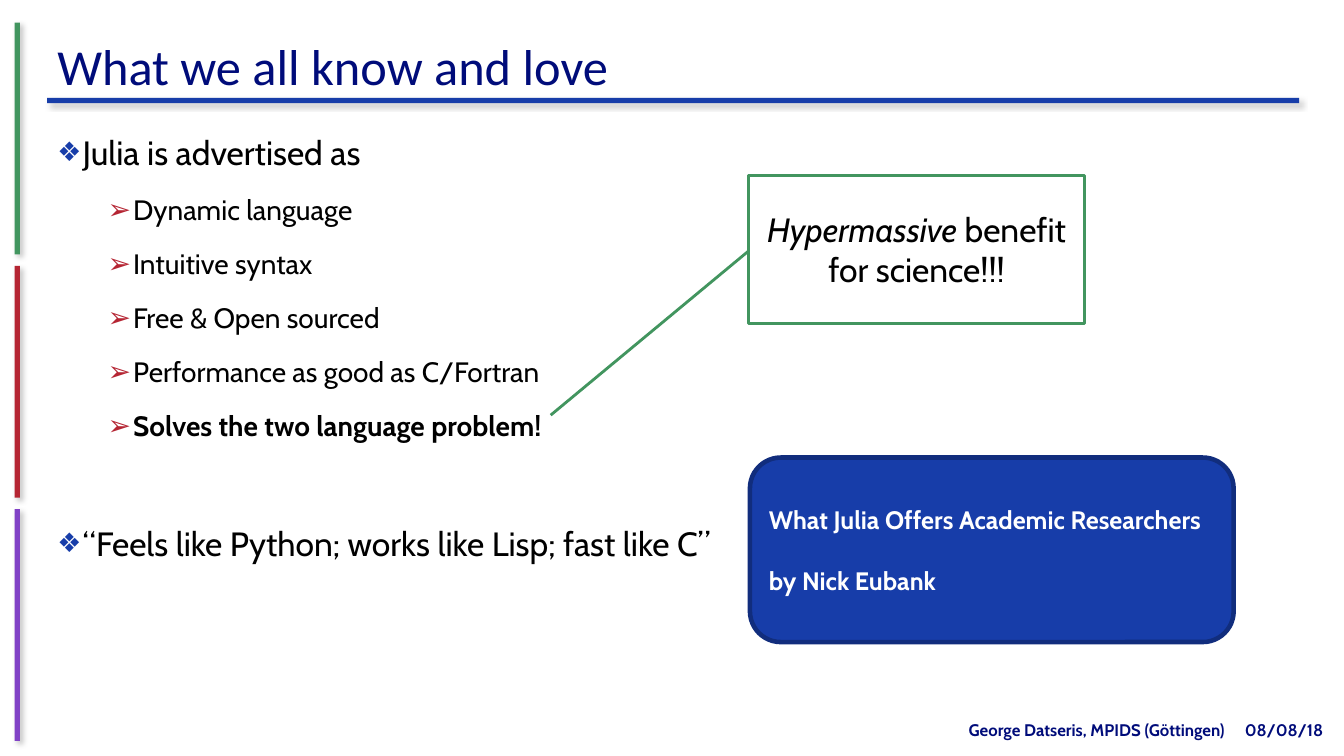
import pptx
import pptx.util
import pptx.dml.color
import pptx.enum.shapes
import pptx.enum.text
import pptx.oxml
import pptx.oxml.ns

Cm, Pt = pptx.util.Cm, pptx.util.Pt
RGB = pptx.dml.color.RGBColor
SHAPE = pptx.enum.shapes.MSO_SHAPE
ALIGN = pptx.enum.text.PP_ALIGN
ANCHOR = pptx.enum.text.MSO_ANCHOR

NAVY = RGB(0x00, 0x0C, 0x7A)
BLUE = RGB(0x17, 0x3D, 0xA9)
DARK_BLUE = RGB(0x11, 0x2D, 0x7D)
GREEN = RGB(0x42, 0x95, 0x5F)
RED = RGB(0xB5, 0x25, 0x33)
PURPLE = RGB(0x81, 0x42, 0xC6)
BLACK = RGB(0, 0, 0)
WHITE = RGB(0xFF, 0xFF, 0xFF)

TITLE = "What we all know and love"
BULLETS = [
    (0, "Julia is advertised as", {}),
    (1, "Dynamic language", {}),
    (1, "Intuitive syntax", {}),
    (1, "Free & Open sourced", {}),
    (1, "Performance as good as C/Fortran", {}),
    (1, "Solves the two language problem!", {"bold": True}),
    (0, "“Feels like Python; works like Lisp; fast like C”", {}),
]
LEVELS = [
    {"size": 24, "before": 48.5, "indent": 0.64, "char": "❖", "color": BLUE, "pct": 80},
    {"size": 20, "before": 5, "indent": 1.91, "char": "➢", "color": RED, "pct": 100},
]
CALLOUT = [("Hypermassive ", True), ("benefit for science!!!", False)]
TALK = ["What Julia Offers Academic Researchers", "by Nick Eubank"]
FOOTERS = [
    ("08/08/18", 31.12, 2.77, ALIGN.LEFT),
    ("George Datseris, MPIDS (Göttingen)", 19.69, 11.43, ALIGN.RIGHT),
]
SIDE_BARS = [GREEN, RED, PURPLE]
BAR_TOP, BAR_PITCH, BAR_LENGTH, BAR_WIDTH = 0.57, 6.13, 5.84, 0.13
FOOTER_FORMAT = {"name": "Cabin", "size": Pt(12), "bold": True}


def box(left, top, width, height):
    return [Cm(v) for v in (left, top, width, height)]


def set_font(font, color, **values):
    for name, value in values.items():
        setattr(font, name, value)
    font.color.rgb = color


def place(sp, area, anchor):
    sp.left, sp.top, sp.width, sp.height = area
    tf = sp.text_frame
    tf.word_wrap = True
    tf.auto_size = pptx.enum.text.MSO_AUTO_SIZE.NONE
    tf.vertical_anchor = anchor
    return tf


def add_shape(s, kind, area, fill, line=None, line_width=0):
    sp = s.shapes.add_shape(kind, *area)
    sp.shadow.inherit = False
    sp.fill.solid()
    sp.fill.fore_color.rgb = fill
    if line is None:
        sp.line.fill.background()
    else:
        sp.line.color.rgb = line
        sp.line.width = Pt(line_width)
    return sp


def add_bar(s, area, color):
    sp = add_shape(s, SHAPE.RECTANGLE, area, color)
    effects = sp._element.spPr.find(pptx.oxml.ns.qn("a:effectLst"))
    effects.append(pptx.oxml.parse_xml(
        f'<a:outerShdw {pptx.oxml.ns.nsdecls("a")} blurRad="{Pt(4)}" dist="{Pt(3)}" '
        'dir="2700000" algn="tl" rotWithShape="0"><a:srgbClr val="000000">'
        '<a:alpha val="25000"/></a:srgbClr></a:outerShdw>'))


def add_bullet(p, level):
    pPr = p._p.get_or_add_pPr()
    pPr.set("marL", str(Cm(level["indent"])))
    pPr.set("indent", str(-Cm(0.64)))
    ns = pptx.oxml.ns.nsdecls("a")
    for xml in (
        f'<a:buClr {ns}><a:srgbClr val="{level["color"]}"/></a:buClr>',
        f'<a:buSzPct {ns} val="{level["pct"] * 1000}"/>',
        f'<a:buChar {ns} char="{level["char"]}"/>',
    ):
        pPr.append(pptx.oxml.parse_xml(xml))


def fill_body(tf):
    for i, (depth, text, style) in enumerate(BULLETS):
        level = LEVELS[depth]
        p = tf.paragraphs[0] if i == 0 else tf.add_paragraph()
        p.level = depth
        add_bullet(p, level)
        p.line_spacing = 0.9
        p.space_before = Pt(level["before"] if i else 0)
        p.space_after = Pt(12)
        r = p.add_run()
        r.text = text
        set_font(r.font, BLACK, name="Cabin", size=Pt(level["size"]), **style)


def main():
    """Build the slide on what Julia is known and loved for."""
    prs = pptx.Presentation()
    prs.slide_width, prs.slide_height = Cm(33.87), Cm(19.05)
    s = prs.slides.add_slide(prs.slide_layouts[1])

    for i, color in enumerate(SIDE_BARS):
        add_bar(s, box(0.37, BAR_TOP + i * BAR_PITCH, BAR_WIDTH, BAR_LENGTH), color)
    add_bar(s, box(1.19, 2.47, 31.55, BAR_WIDTH), BLUE)

    tf = place(s.shapes.title, box(1.19, 0.58, 28.68, 1.98), ANCHOR.BOTTOM)
    p = tf.paragraphs[0]
    p.alignment = ALIGN.LEFT
    p.line_spacing = 0.9
    r = p.add_run()
    r.text = TITLE
    set_font(r.font, NAVY, name="Calibri", size=Pt(36))

    fill_body(place(s.placeholders[1], box(1.19, 3.3, 31.55, 15.37), ANCHOR.TOP))

    for text, left, width, align in FOOTERS:
        area = box(left, 18.11, width, 0.58)
        tf = place(s.shapes.add_textbox(*area), area, ANCHOR.MIDDLE)
        p = tf.paragraphs[0]
        p.alignment = align
        r = p.add_run()
        r.text = text
        set_font(r.font, NAVY, **FOOTER_FORMAT)

    area = box(18.87, 4.42, 8.46, 3.73)
    callout = add_shape(s, SHAPE.LINE_CALLOUT_1, area, WHITE, GREEN, 2)
    for i, value in enumerate((0.51, 0, 1.62, -0.59)):
        callout.adjustments[i] = value
    p = place(callout, area, ANCHOR.MIDDLE).paragraphs[0]
    p.alignment = ALIGN.CENTER
    for text, italic in CALLOUT:
        r = p.add_run()
        r.text = text
        set_font(r.font, BLACK, name="Cabin", size=Pt(24), italic=italic)

    area = box(18.9, 11.53, 12.19, 4.65)
    talk = add_shape(s, SHAPE.ROUNDED_RECTANGLE, area, BLUE, DARK_BLUE, 3.25)
    tf = place(talk, area, ANCHOR.MIDDLE)
    for i, text in enumerate(TALK):
        p = tf.add_paragraph() if i else tf.paragraphs[0]
        p.alignment = ALIGN.LEFT
        p.space_before = Pt(21.5 * i)
        r = p.add_run()
        r.text = text
        set_font(r.font, WHITE, name="Cabin", size=Pt(18), bold=True)

    prs.save("out.pptx")


if __name__ == "__main__":
    main()
